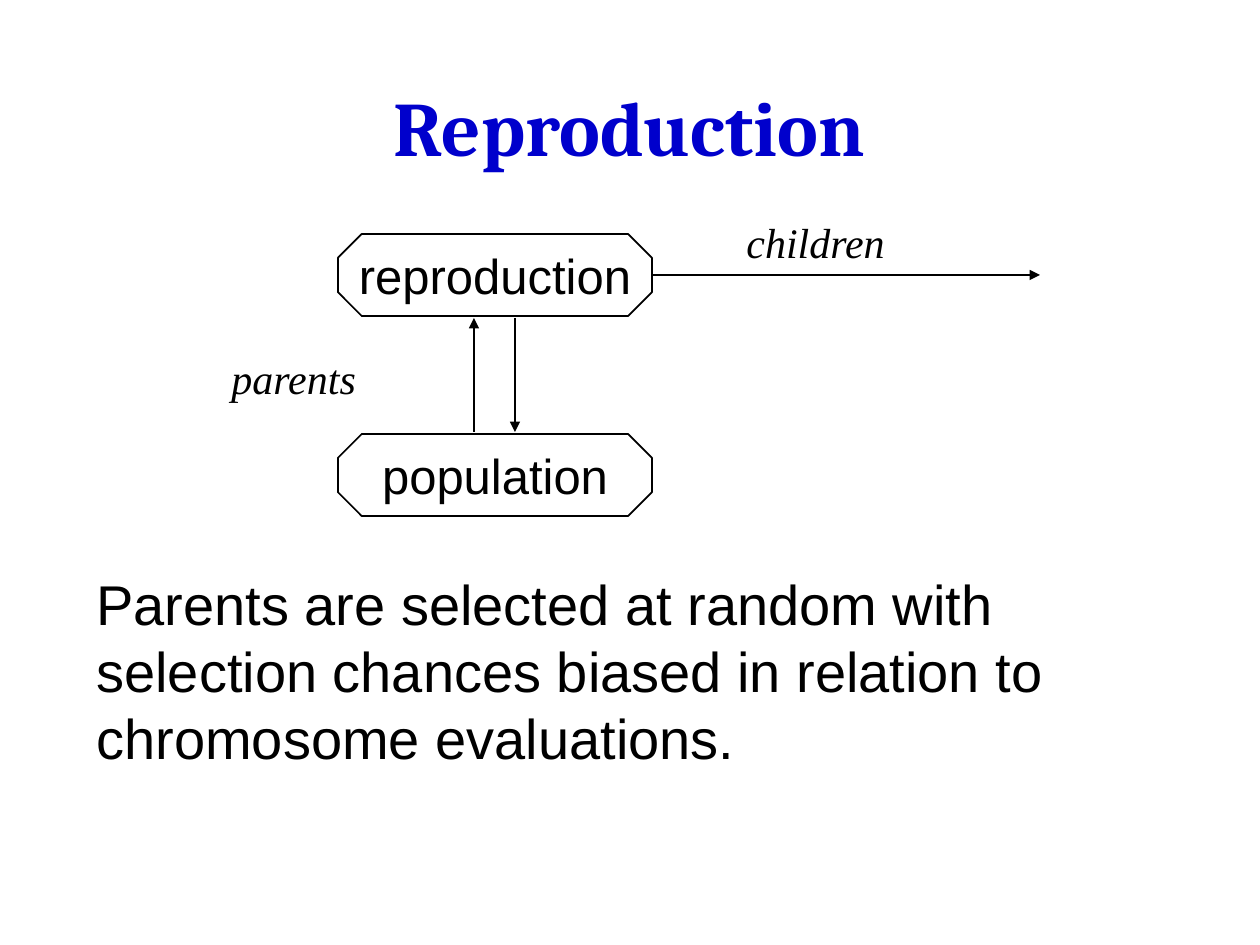
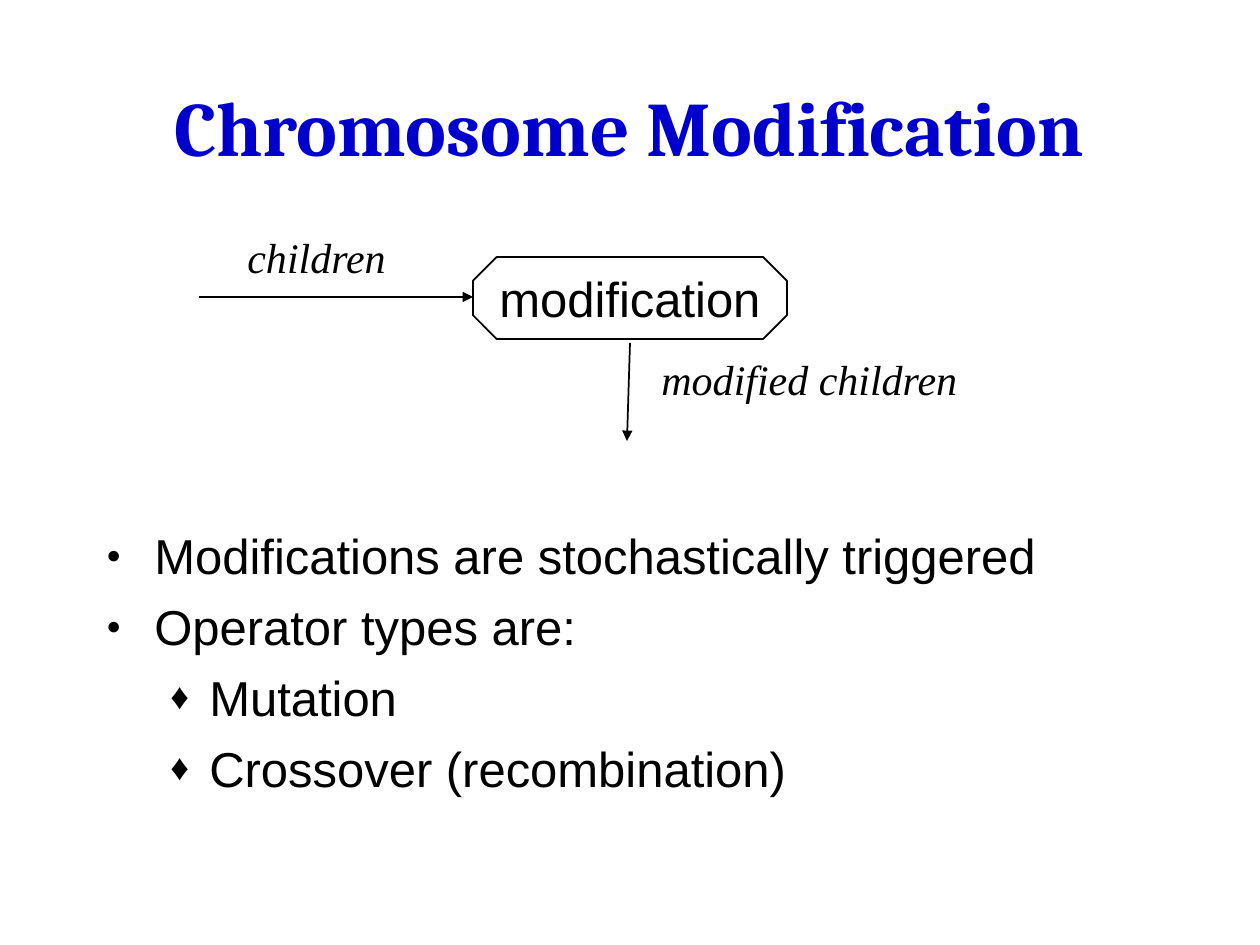
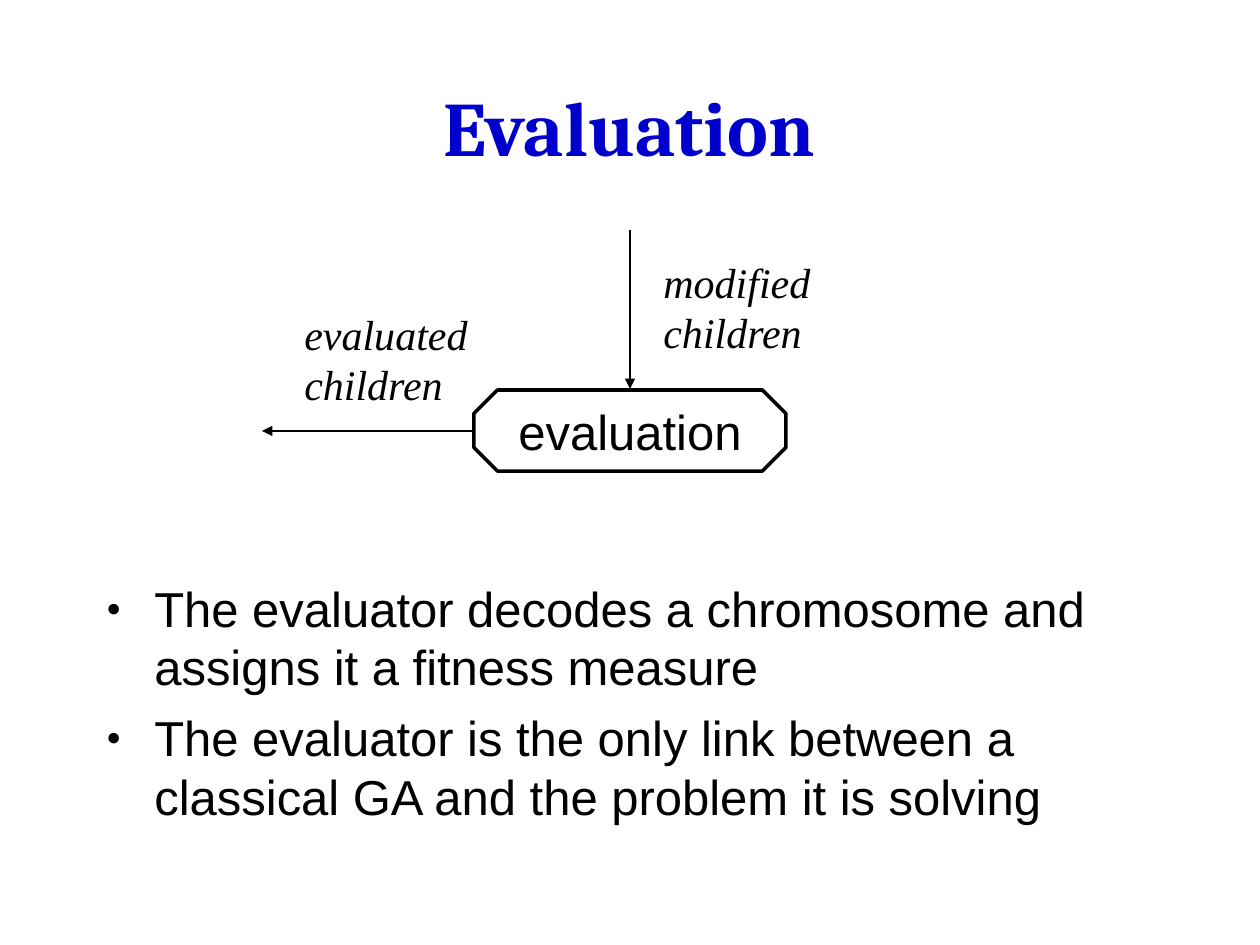
from dataclasses import dataclass

from lxml.etree import SubElement
from pptx import Presentation
from pptx.dml.color import RGBColor as Rgb
from pptx.enum.shapes import MSO_CONNECTOR as Link, MSO_SHAPE as Form
from pptx.enum.text import MSO_ANCHOR as Anchor, PP_ALIGN as Align
from pptx.oxml.ns import qn
from pptx.util import Emu, Pt


@dataclass(frozen=True)
class Style:
    font: str
    size: int
    color: Rgb
    bold: bool = False
    italic: bool = False
    lead: float = 1.2


@dataclass(frozen=True)
class Theme:
    ink: Rgb = Rgb(0, 0, 0)
    paper: Rgb = Rgb(255, 255, 255)
    title: Style = Style("Cambria", 44, Rgb(0, 0, 0xCC), bold=True, lead=0)
    node: Style = Style("Arial", 28, ink)
    label: Style = Style("Times New Roman", 24, ink, italic=True)
    body: Style = Style("Arial", 32, ink)
    item: Style = Style("Arial", 28, ink)
    gap: int = 7


THEME = Theme()
SCALE = 914400 / 126
WIDE, HIGH = 1260, 945
LEFT, SPAN, FOOT = 94, 1071, 829
# Bullet sign, its size in percent, text margin and hanging indent in px
LEVELS = (("●", 50, 48, 48), ("♦", 75, 103, 39))


def px(count):
    return Emu(round(count * SCALE))


def write(para, text, style):
    run = para.add_run()
    run.text = text
    font = run.font
    font.name, font.size = style.font, Pt(style.size)
    font.bold, font.italic = style.bold, style.italic
    font.color.rgb = style.color
    if style.lead:
        para.line_spacing = Pt(round(style.size * style.lead, 1))


def paras(frame, count):
    """Yield the first paragraph of the frame, then new ones."""
    yield frame.paragraphs[0]
    for _ in range(count - 1):
        yield frame.add_paragraph()


def add_text(slide, lines, box, style):
    frame = slide.shapes.add_textbox(*map(px, box)).text_frame
    frame.word_wrap = True
    for para, line in zip(paras(frame, len(lines)), lines):
        write(para, line, style)
    return frame


def add_title(slide, text):
    frame = add_text(slide, [text], (LEFT, 31, SPAN, 147), THEME.title)
    frame.vertical_anchor = Anchor.BOTTOM
    frame.paragraphs[0].alignment = Align.CENTER


def add_label(slide, lines, left, top, wide):
    high = 13 + 50 * len(lines)
    add_text(slide, lines, (left, top, wide, high), THEME.label)


def add_node(slide, text, left, top, wide=314, high=82, line=1):
    node = slide.shapes.add_shape(Form.OCTAGON, *map(px, (left, top, wide, high)))
    node.adjustments[0] = 0.29
    node.shadow.inherit = False
    node.fill.solid()
    node.fill.fore_color.rgb = THEME.paper
    node.line.color.rgb = THEME.ink
    node.line.width = Pt(line)
    frame = node.text_frame
    frame.word_wrap = False
    frame.vertical_anchor = Anchor.MIDDLE
    para = frame.paragraphs[0]
    para.alignment = Align.CENTER
    write(para, text, THEME.node)


def add_arrow(slide, start, end):
    arrow = slide.shapes.add_connector(Link.STRAIGHT, *map(px, start + end))
    arrow.line.color.rgb = THEME.ink
    arrow.line.width = Pt(1)
    SubElement(arrow.line._get_or_add_ln(), qn("a:tailEnd"), type="triangle")
    SubElement(arrow._element.spPr, qn("a:effectLst"))


def mark(para, level):
    """Give the paragraph the bullet and indent of its level."""
    sign, size, margin, hang = LEVELS[level]
    para.level = level
    props = para._p.get_or_add_pPr()
    props.set("marL", str(px(margin)))
    props.set("indent", str(-px(hang)))
    tint = SubElement(props, qn("a:buClr"))
    SubElement(tint, qn("a:srgbClr"), val=str(THEME.ink))
    SubElement(props, qn("a:buSzPct"), val=str(size * 1000))
    SubElement(props, qn("a:buFont"), typeface=THEME.item.font)
    SubElement(props, qn("a:buChar"), char=sign)


def add_list(slide, items, top):
    texts = [text for _, text in items]
    frame = add_text(slide, texts, (LEFT, top, SPAN, FOOT - top), THEME.item)
    for place, (para, (level, _)) in enumerate(zip(frame.paragraphs, items)):
        para.space_before = Pt(THEME.gap if place else 0)
        mark(para, level)


def add_slide(deck, title):
    slide = deck.slides.add_slide(deck.slide_layouts[6])
    add_title(slide, title)
    return slide


def breed(deck):
    slide = add_slide(deck, "Reproduction")
    add_node(slide, "reproduction", 338, 234)
    add_node(slide, "population", 338, 434)
    add_arrow(slide, (653, 275), (1040, 275))
    add_arrow(slide, (474, 432), (474, 318))
    add_arrow(slide, (515, 318), (515, 432))
    add_label(slide, ["parents"], 219, 346, 160)
    add_label(slide, ["children"], 734, 210, 173)
    text = ("Parents are selected at random with selection chances "
            "biased in relation to chromosome evaluations.")
    add_text(slide, [text], (84, 563, 1091, 214), THEME.body)


def modify(deck):
    slide = add_slide(deck, "Chromosome Modification")
    add_node(slide, "modification", 473, 257)
    add_label(slide, ["children"], 235, 225, 173)
    add_arrow(slide, (199, 297), (473, 297))
    add_arrow(slide, (630, 343), (627, 441))
    add_label(slide, ["modified children"], 649, 347, 335)
    add_list(slide, [
        (0, "Modifications are stochastically triggered"),
        (0, "Operator types are:"),
        (1, "Mutation"),
        (1, "Crossover (recombination)"),
    ], 519)


def judge(deck):
    slide = add_slide(deck, "Evaluation")
    add_list(slide, [
        (0, "The evaluator decodes a chromosome and assigns it a fitness measure"),
        (0, "The evaluator is the only link between a classical GA "
            "and the problem it is solving"),
    ], 572)
    add_node(slide, "evaluation", 474, 390, 312, 81, line=2)
    add_arrow(slide, (630, 230), (630, 389))
    add_arrow(slide, (474, 431), (262, 431))
    add_label(slide, ["evaluated", "children"], 292, 302, 200)
    add_label(slide, ["modified", "children"], 651, 250, 185)


def main():
    deck = Presentation()
    deck.slide_width, deck.slide_height = px(WIDE), px(HIGH)
    for build in (breed, modify, judge):
        build(deck)
    deck.save("out.pptx")


if __name__ == "__main__":
    main()
